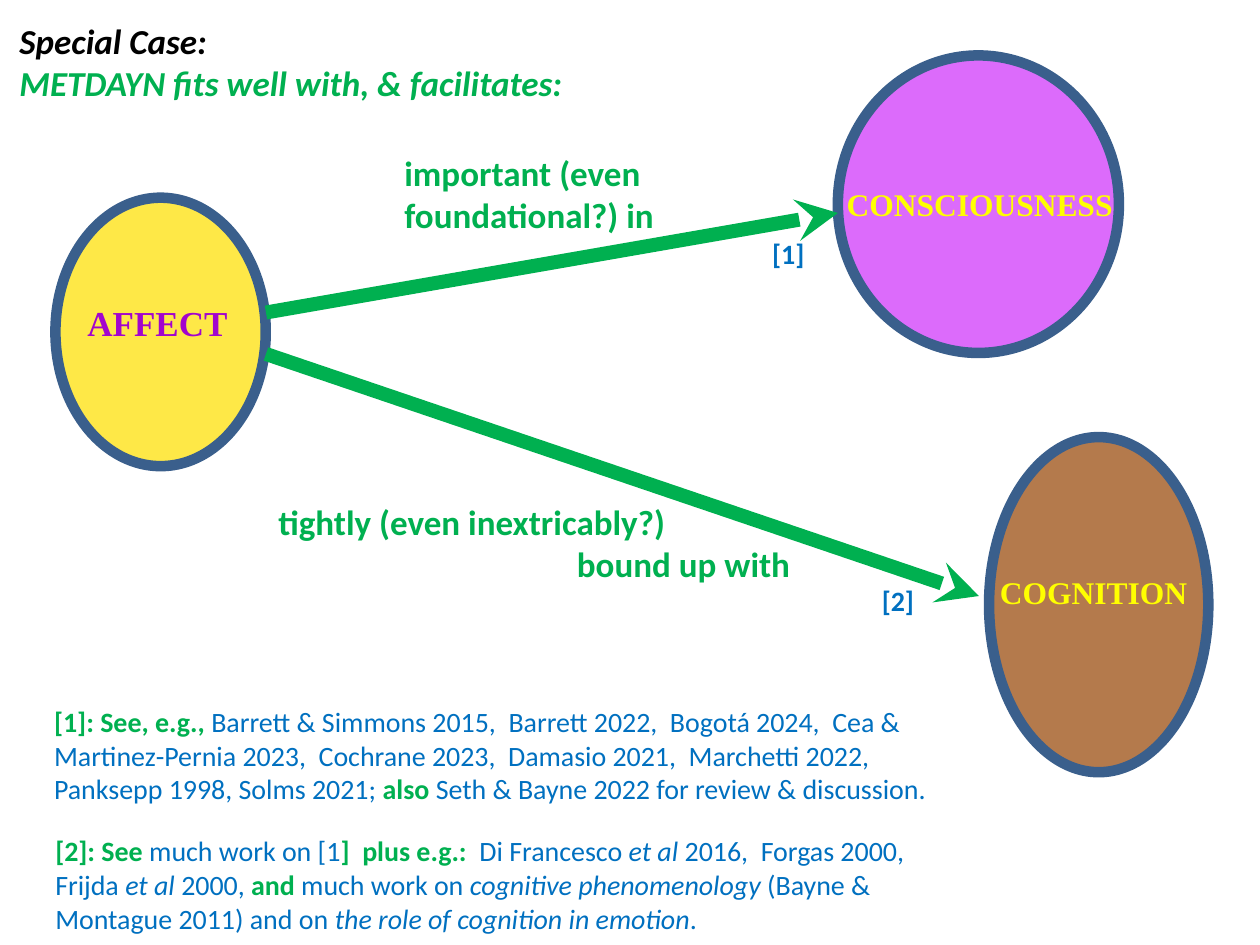
from lxml import etree
from pptx import Presentation
from pptx.dml import color
from pptx.enum import shapes, text
from pptx.oxml import ns
from pptx.util import Pt

BLACK, GREEN, BLUE = "000000", "00B050", "0070C0"
PURPLE, YELLOW, NAVY = "A205CD", "FFFF00", "3A5F8C"
LEFT, CENTER, RIGHT = text.PP_ALIGN.LEFT, text.PP_ALIGN.CENTER, text.PP_ALIGN.RIGHT


def paint(target, value):
    target.rgb = color.RGBColor.from_string(value)


def add_child(parent, tag, **attributes):
    return etree.SubElement(parent, ns.qn(tag), attributes)


def add_words(slide, box, lines, size, font="Calibri", bold=None, italic=None,
              hue=None, aligns=(LEFT,), before=0, after=0):
    words = slide.shapes.add_textbox(*map(Pt, box))
    frame = words.text_frame
    frame.word_wrap = True
    for index, (runs, align) in enumerate(zip(lines, aligns)):
        line = frame.paragraphs[0] if index == 0 else frame.add_paragraph()
        line.alignment = align
        line.space_before = Pt(before if index == 0 else 0)
        line.space_after = Pt(after)
        line.font.name, line.font.size = font, Pt(size)
        line.font.bold, line.font.italic = bold, italic
        if hue:
            paint(line.font.color, hue)
        for part, look in [(runs, "")] if isinstance(runs, str) else runs:
            run = line.add_run()
            run.text = part
            if look:
                run.font.bold = look == "strong"
                run.font.italic = look == "italic"
                paint(run.font.color, GREEN if look == "strong" else BLUE)
    return frame


def add_heading(slide, box):
    heading = add_words(slide, box, ["Special Case:", "METDAYN fits well with, & facilitates:"],
                        20, bold=True, italic=True, hue=GREEN, aligns=(LEFT, LEFT))
    heading.vertical_anchor = text.MSO_ANCHOR.MIDDLE
    paint(heading.paragraphs[0].font.color, BLACK)


def add_faculty(slide, box, fill, label, label_offset, label_size, size, hue):
    left, top, width, height = box
    oval = slide.shapes.add_shape(shapes.MSO_SHAPE.OVAL, *map(Pt, box))
    oval.shadow.inherit = False
    oval.fill.solid()
    paint(oval.fill.fore_color, fill)
    tint = oval.fill._xPr.find(ns.qn("a:solidFill"))[0]
    add_child(tint, "a:alpha", val="72000")
    paint(oval.line.color, NAVY)
    oval.line.width = Pt(6)
    label_box = (left + label_offset[0], top + label_offset[1], *label_size)
    name = add_words(slide, label_box, [label], size, "Times New Roman", bold=True,
                     hue=hue, aligns=(CENTER,), after=5)
    name.auto_size = text.MSO_AUTO_SIZE.SHAPE_TO_FIT_TEXT


def add_influence(slide, start, end):
    arrow = slide.shapes.add_connector(shapes.MSO_CONNECTOR.STRAIGHT, *map(Pt, start + end))
    paint(arrow.line.color, GREEN)
    arrow.line.width = Pt(8)
    add_child(arrow.line._get_or_add_ln(), "a:tailEnd", type="stealth")
    add_child(arrow._element.spPr, "a:effectLst")


def add_relation(slide, box, lines, aligns=(LEFT,)):
    add_words(slide, box, lines, 20, bold=True, hue=GREEN, aligns=aligns, before=10)


def add_citation_mark(slide, box, mark):
    add_words(slide, box, [mark], 16, bold=True, hue=BLUE, before=10)


def add_citation(slide, box, runs):
    add_words(slide, box, [runs], 16, before=10)


def build():
    deck = Presentation()
    deck.slide_width, deck.slide_height = Pt(720), Pt(540)
    slide = deck.slides.add_slide(deck.slide_layouts[6])

    add_heading(slide, (4, 11.5, 464, 47.5))
    add_faculty(slide, (31.7, 113, 120.2, 153.4), "FEE000", "AFFECT",
                (-7.2, 55.5), (131, 31.5), 20, PURPLE)
    add_faculty(slide, (565.2, 249.8, 125.3, 191.5), "984807", "COGNITION",
                (-5.8, 74.2), (131, 29), 18, YELLOW)
    add_faculty(slide, (478.8, 31.7, 160.6, 170), "CF32FA", "CONSCIOUSNESS",
                (-10.8, 70.5), (183.6, 29), 18, YELLOW)

    add_influence(slide, (152, 178.6), (478.8, 121.7))
    add_influence(slide, (152, 202.3), (559.4, 340.6))
    add_relation(slide, (224, 82.8, 215.3, 34), ["important (even foundational?) in"])
    add_relation(slide, (152, 282.2, 306.7, 62),
                 ["tightly (even inextricably?)", "bound up with"], (LEFT, RIGHT))

    add_citation(slide, (23.8, 399, 531.4, 63.4), [
        ("[1]: See, e.g., ", "strong"),
        ("Barrett & Simmons 2015,  Barrett 2022,  Bogotá 2024,  Cea & Martinez-Pernia 2023,  "
         "Cochrane 2023,  Damasio 2021,  Marchetti 2022,  Panksepp 1998, Solms 2021; ", "plain"),
        ("also", "strong"),
        (" Seth & Bayne 2022 for review & discussion.", "plain"),
    ])
    add_citation(slide, (24.5, 473, 531.4, 63.4), [
        ("[2]: See", "strong"),
        (" much work on [1", "plain"),
        ("]  plus e.g.:", "strong"),
        ("  Di Francesco ", "plain"),
        ("et al ", "italic"),
        ("2016,  Forgas 2000, Frijda ", "plain"),
        ("et al ", "italic"),
        ("2000, ", "plain"),
        ("and", "strong"),
        (" much work on ", "plain"),
        ("cognitive phenomenology ", "italic"),
        ("(Bayne & Montague 2011) and on ", "plain"),
        ("the role of cognition in emotion", "italic"),
        (".", "plain"),
    ])
    add_citation_mark(slide, (434.2, 131.8, 39, 34), "[1]")
    add_citation_mark(slide, (496.8, 329.8, 39, 34), "[2]")
    deck.save("out.pptx")


if __name__ == "__main__":
    build()
